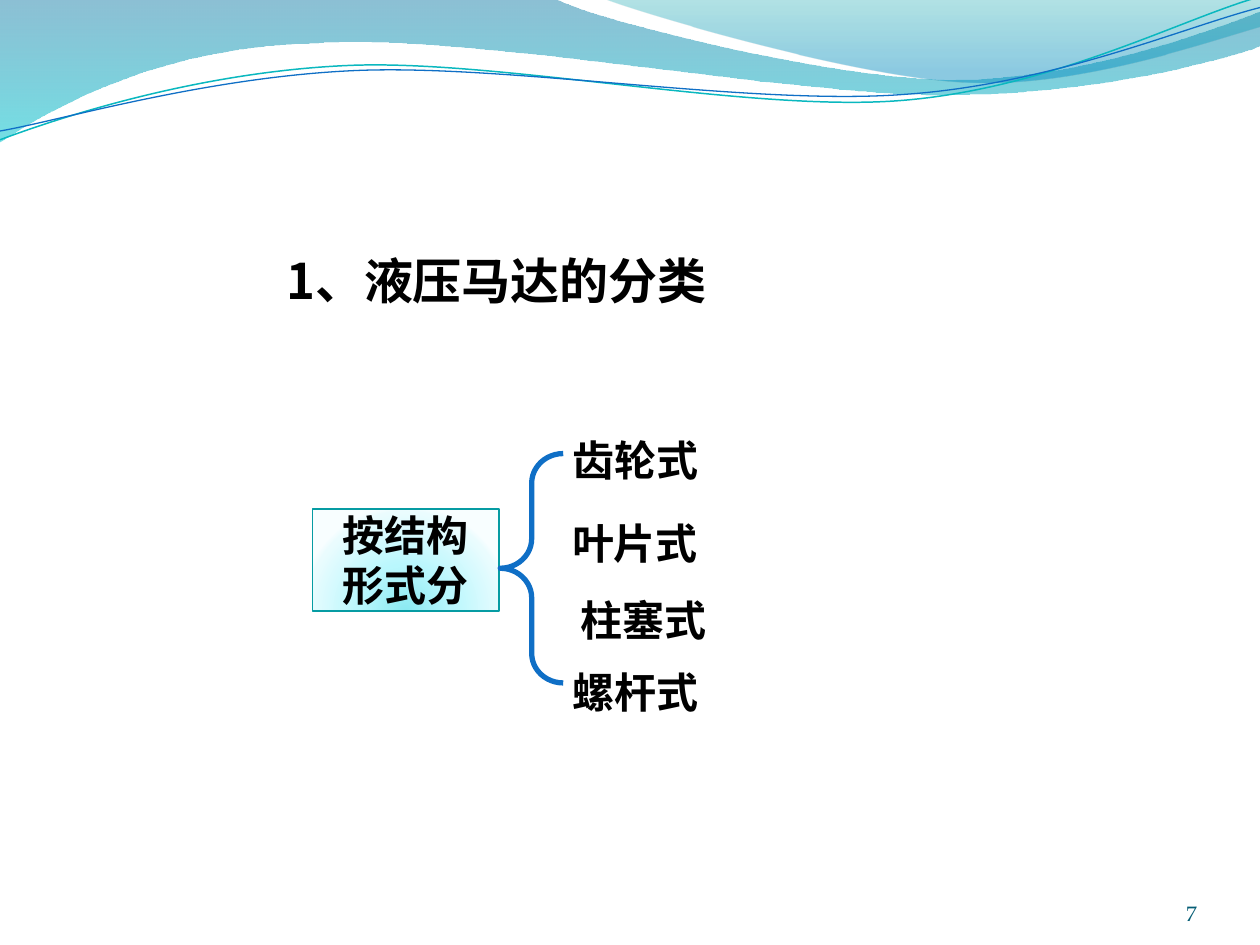
from lxml import etree
from pptx import Presentation
from pptx.dml.color import RGBColor
from pptx.enum.shapes import MSO_SHAPE
from pptx.enum.text import MSO_ANCHOR, MSO_AUTO_SIZE, PP_ALIGN
from pptx.oxml.ns import qn
from pptx.util import Inches, Pt

RECT, BRACE = MSO_SHAPE.RECTANGLE, MSO_SHAPE.LEFT_BRACE
LEFT, CENTER, RIGHT = PP_ALIGN.LEFT, PP_ALIGN.CENTER, PP_ALIGN.RIGHT
TOP, BOTTOM = MSO_ANCHOR.TOP, MSO_ANCHOR.BOTTOM
FIXED = MSO_AUTO_SIZE.NONE
SANS, SERIF = "Noto Sans CJK SC", "TeX Gyre Pagella"

TITLE = "1、液压马达的分类"
BASIS = ["按结构", "形式分"]
TYPES = [("螺杆式", 4.54, 5.29, 3.52), ("柱塞式", 4.61, 4.72, 1.02),
         ("叶片式", 4.54, 4.11, 1.36), ("齿轮式", 4.54, 3.45, 1.18)]
NUMBER = "7"

# A pair is a straight step, six numbers are a Bezier step.
# Gradient stops: position, colour, opacity in percent.
BANDS = [
    ([(0, 0), (4.4, -0.01), (4.76, 0.17, 6.64, 0.63, 7.58, 0.63),
      (8.53, 0.63, 9.58, 0.26, 10, 0.09), (10.01, 0.36),
      (9.83, 0.44, 8.7, 0.76, 7.46, 0.75), (6.22, 0.75, 3.82, 0.28, 2.57, 0.34),
      (1.29, 0.36, 0.46, 0.83, -0.01, 1.13)],
     [(0, "0074A1", 45), (100, "00C6CF", 55)]),
    ([(4.79, -0.01), (5.09, 0.11, 6.82, 0.62, 7.69, 0.65),
      (8.56, 0.69, 9.61, 0.32, 10, 0.21), (10, 0)],
     [(0, "00A1A9", 30), (80, "008BBF", 45)]),
]
WAVES = [
    ([(0, 1.11), (0.48, 0.93, 1.58, 0.57, 2.77, 0.52),
      (3.95, 0.47, 5.93, 0.89, 7.13, 0.8), (8.33, 0.71, 9.38, 0.15, 9.98, -0.02)],
     "0AB8BF", 0.85),
    ([(0, 1.04), (0.47, 0.96, 1.64, 0.61, 2.83, 0.56),
      (4.03, 0.51, 5.97, 0.84, 7.17, 0.75), (8.36, 0.67, 9.41, 0.21, 10, 0.06)],
     "0F6FC6", 0.75),
]
GLOW = [(0, "8BE9F1", 100), (43, "B9F7FD", 100),
        (93, "EAFCFE", 100), (100, "F8FEFF", 100)]


def color(code):
    return RGBColor.from_string(code)


def node(parent, tag, **attrs):
    return etree.SubElement(parent, qn(tag), {k: str(v) for k, v in attrs.items()})


def blend(shape, stops, glow=False):
    """Fill with a gradient, downwards or spreading from below."""
    shape.fill.solid()
    old = shape._element.spPr.find(qn("a:solidFill"))
    grad = etree.Element(qn("a:gradFill"), rotWithShape="1")
    stop_list = node(grad, "a:gsLst")
    for pos, code, alpha in stops:
        stop = node(stop_list, "a:gs", pos=pos * 1000)
        node(node(stop, "a:srgbClr", val=code), "a:alpha", val=alpha * 1000)
    if glow:
        way = node(grad, "a:path", path="circle")
        node(way, "a:fillToRect", l=50000, t=130000, r=50000, b=-30000)
    else:
        node(grad, "a:lin", ang=90 * 60000, scaled=0)
    old.getparent().replace(old, grad)


def stroke(shape, code, width):
    shape.line.color.rgb = color(code)
    shape.line.width = Pt(width)


def curve(steps, close):
    """Draw an outline, then join each Bezier step's three points into one curve."""
    points = [(Inches(x), Inches(y)) for step in steps
              for x, y in zip(step[::2], step[1::2])]
    pen = shapes.build_freeform(*points[0])
    pen.add_line_segments(points[1:], close=close)
    shape = pen.convert_to_shape()
    shape.shadow.inherit = False
    lines = shape._element.spPr.findall(".//" + qn("a:lnTo"))
    for step in steps[1:]:
        count = len(step) // 2
        part, lines = lines[:count], lines[count:]
        if count == 3:
            bend = etree.Element(qn("a:cubicBezTo"))
            part[0].addprevious(bend)
            for line in part:
                bend.append(line[0])
                line.getparent().remove(line)
    return shape


def write(shape, lines, size, align=LEFT, anchor=TOP, font=SANS,
          code="000000", bold=True, pad=(0, 0), wrap=True):
    frame = shape.text_frame
    frame.auto_size = FIXED
    frame.word_wrap, frame.vertical_anchor = wrap, anchor
    frame.margin_left = frame.margin_right = Inches(pad[0])
    frame.margin_top = frame.margin_bottom = Inches(pad[1])
    for i, line in enumerate(lines):
        para = frame.add_paragraph() if i else frame.paragraphs[0]
        para.alignment = align
        run = para.add_run()
        run.text = line
        run.font.size, run.font.bold, run.font.name = Pt(size), bold, font
        run.font.color.rgb = color(code)
        node(run.font._element, "a:ea", typeface=font)


deck = Presentation()
deck.slide_width, deck.slide_height = Inches(10), Inches(7.5)
slide = deck.slides.add_slide(deck.slide_layouts[5])
shapes = slide.shapes

for steps, stops in BANDS:
    band = curve(steps, True)
    blend(band, stops)
    band.line.fill.background()

waves = []
for steps, code, width in WAVES:
    wave = curve(steps, False)
    wave.fill.background()
    stroke(wave, code, width)
    waves.append(wave)
shapes.add_group_shape(waves)

tree = []
for name, x, y, width in TYPES:
    label = shapes.add_textbox(*map(Inches, (x, y, width, 0.4)))
    write(label, [name], 24)
    tree.append(label)

basis = shapes.add_shape(RECT, *map(Inches, (2.48, 4.04, 1.48, 0.81)))
basis.shadow.inherit = False
blend(basis, GLOW, True)
stroke(basis, "069CA3", 0.75)
write(basis, BASIS, 24, CENTER)

brace = shapes.add_shape(BRACE, *map(Inches, (3.97, 3.6, 0.5, 1.82)))
brace.shadow.inherit = False
brace.adjustments[0], brace.adjustments[1] = 0.47, 0.5
brace.fill.background()
stroke(brace, "0F6FC6", 3)
shapes.add_group_shape(tree + [basis, brace])

title = shapes.title
title.left, title.top, title.width, title.height = map(Inches, (2.16, 1.94, 3.56, 0.57))
write(title, [TITLE], 28, CENTER, pad=(0.1, 0.05))

number = shapes.add_textbox(*map(Inches, (8.67, 6.95, 0.83, 0.4)))
write(number, [NUMBER], 12, RIGHT, BOTTOM, SERIF, "045D75", False)

deck.save("out.pptx")
